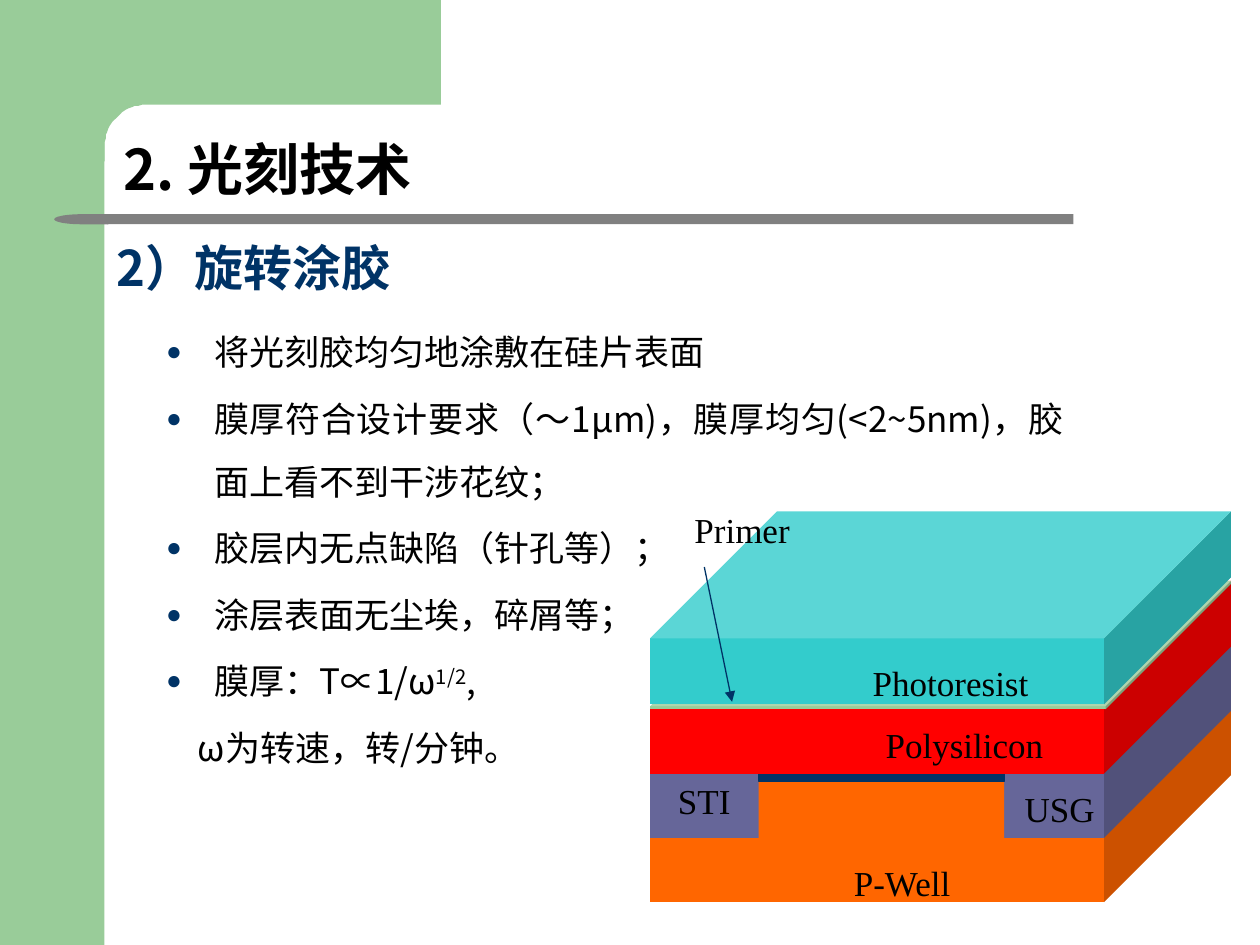
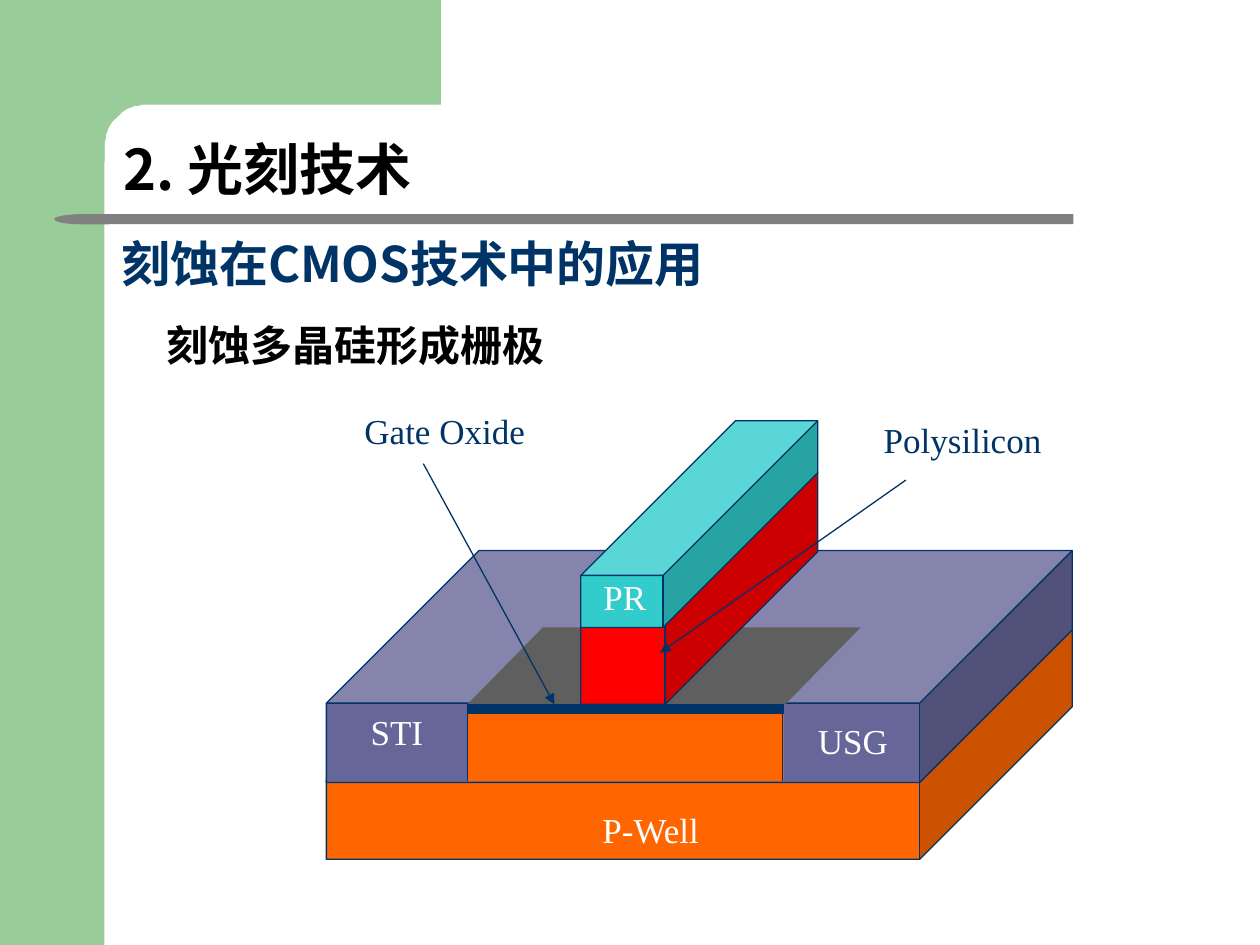
from math import sin, cos, radians
from lxml.etree import SubElement as Sub
from pptx import Presentation
from pptx.dml.color import RGBColor as Rgb
from pptx.enum.shapes import MSO_CONNECTOR as Con, MSO_SHAPE as Form
from pptx.enum.text import MSO_ANCHOR as Anchor, PP_ALIGN as Align
from pptx.oxml.ns import qn
from pptx.util import Inches, Pt

COLS, ROWS = 1000, 750
WIDE, HIGH = Inches(10), Inches(7.5)
CELL = WIDE // COLS

THEME = dict(
    green="99CC99", gray="808080", navy="003366", black="000000", white="FFFFFF",
    well="FF6600", glass="666699", poly="FF0000", resist="33CCCC",
    dark="333333", dim="5F5F5F",
    sans="Noto Sans CJK SC", serif="Times New Roman",
    title=32, head=28, sub=24, text=20, line=0.75)

TITLE = "2. 光刻技术"
EDGE = 83
SLOPE = 0.658

COAT = dict(
    head="2）旋转涂胶",
    points=[
        ["将光刻胶均匀地涂敷在硅片表面"],
        ["膜厚符合设计要求（～1μm)，膜厚均匀(<2~5nm)，胶面上看不到干涉花纹；"],
        ["胶层内无点缺陷（针孔等）；"],
        ["涂层表面无尘埃，碎屑等；"],
        ["膜厚：T∝1/ω", ("1/2", 30), ","]],
    note="ω为转速，转/分钟。",
    base=dict(x=516, y=563, w=461, h=153, step=51, gap=86, run=195, film=6, top="dark"),
    cubes=[("poly", 516, 461, 461, 153, SLOPE),
           ("green", 516, 461, 461, 102, 0.975),
           ("resist", 516, 406, 461, 153, SLOPE)],
    labels=[("P-Well", 651, 679, 130), ("USG", 803, 620, 76), ("STI", 521, 614, 76),
            ("Polysilicon", 657, 569, 217), ("Photoresist", 646, 520, 217),
            ("Primer", 532, 399, 114)],
    arrows=[(559, 450, 581, 557)])

ETCH = dict(
    head="刻蚀在CMOS技术中的应用",
    sub="刻蚀多晶硅形成栅极",
    base=dict(x=259, y=498, w=592, h=184, step=61, gap=112, run=251, film=7,
              top="dim", line="navy"),
    cubes=[("poly", 461, 375, 188, 184, SLOPE),
           ("resist", 461, 334, 188, 164, 0.748)],
    labels=[("P-Well", 433, 637, 167), ("USG", 628, 566, 98), ("STI", 266, 559, 98),
            ("PR", 461, 452, 70)],
    calls=[("Gate Oxide", 224, 320, 258), ("Polysilicon", 670, 327, 188)],
    arrows=[(336, 368, 440, 559), (719, 381, 524, 518)],
    walls=[371, 621])


def grid(*cells):
    return [round(c * CELL) for c in cells]


def tint(name):
    return Rgb.from_string(THEME[name])


def paint(shape, fill=None, line=None):
    shape.shadow.inherit = False
    if fill:
        shape.fill.solid()
        shape.fill.fore_color.rgb = tint(fill)
    else:
        shape.fill.background()
    if line:
        shape.line.color.rgb = tint(line)
        shape.line.width = Pt(THEME["line"])
    else:
        shape.line.fill.background()
    return shape


def draw(slide, form, x, y, w, h, fill=None, line=None, adj=None):
    shape = slide.shapes.add_shape(form, *grid(x, y, w, h))
    if adj is not None:
        shape.adjustments[0] = adj
    return paint(shape, fill, line)


def link(slide, ends, arrow=False):
    wire = slide.shapes.add_connector(Con.STRAIGHT, *grid(*ends))
    wire.line.color.rgb = tint("navy")
    wire.line.width = Pt(THEME["line"])
    if arrow:
        Sub(wire.line._get_or_add_ln(), qn("a:tailEnd"), type="triangle")
    Sub(wire._element.spPr, qn("a:effectLst"))


def write(para, parts, size="text", face="sans", color="black", bold=False,
          align=Align.LEFT, lead=None, before=0, left=0, hang=0, dot=False):
    para.alignment = align
    para.space_before = Pt(before)
    if lead:
        para.line_spacing = lead
    props = para._p.get_or_add_pPr()
    props.set("marL", str(grid(left)[0]))
    props.set("indent", str(grid(-hang)[0]))
    if dot:
        hue = Sub(props, qn("a:buClr"))
        Sub(hue, qn("a:srgbClr"), val=THEME["navy"])
        Sub(props, qn("a:buSzPct"), val="75000")
        Sub(props, qn("a:buFont"), typeface=THEME["serif"])
        Sub(props, qn("a:buChar"), char="●")
    else:
        Sub(props, qn("a:buNone"))
    for part in parts:
        words, lift = part if isinstance(part, tuple) else (part, 0)
        run = para.add_run()
        run.text = words
        run.font.size = Pt(THEME[size])
        run.font.bold = bold
        run.font.color.rgb = tint(color)
        run.font.name = THEME[face]
        marks = run._r.get_or_add_rPr()
        Sub(marks, qn("a:ea"), typeface=THEME[face])
        if lift:
            marks.set("baseline", str(lift * 1000))


def box(slide, x, y, w, h):
    frame = slide.shapes.add_textbox(*grid(x, y, w, h)).text_frame
    frame.word_wrap = True
    return frame


def label(slide, words, x, y, w, color):
    write(box(slide, x, y, w, 40).paragraphs[0], [words], face="serif",
          color=color, align=Align.CENTER)


def banner(slide, words, y, w, h, form=Form.ROUNDED_RECTANGLE, **style):
    adj = 0.217 if form == Form.ROUNDED_RECTANGLE else None
    frame = draw(slide, form, EDGE, y, w, h, adj=adj).text_frame
    frame.word_wrap = True
    frame.vertical_anchor = Anchor.BOTTOM
    write(frame.paragraphs[0], [words], bold=True, lead=0.9, **style)


def frame_up(deck):
    slide = deck.slides.add_slide(deck.slide_layouts[6])
    draw(slide, Form.RECTANGLE, 0, 0, EDGE, ROWS, "green")
    turn = 33
    mid = EDGE + turn
    curve = [(mid - turn * sin(radians(a)), mid - turn * cos(radians(a)))
             for a in range(0, 91, 5)]
    pen = slide.shapes.build_freeform(350, 0, scale=CELL)
    pen.add_line_segments([(350, EDGE), *curve, (EDGE, 128), (50, 128), (50, 0)])
    paint(pen.convert_to_shape(), "green")
    draw(slide, Form.RECTANGLE, 85, 170, 767, 8, "gray")
    draw(slide, Form.FLOWCHART_DELAY, 43, 170, 43, 8, "gray").rotation = 180
    banner(slide, TITLE, 84, 354, 87, size="title")
    return slide


def stack(slide, cubes, line=None):
    for fill, x, y, w, h, adj in cubes:
        draw(slide, Form.CUBE, x, y, w, h, fill, line, adj)


def wafer(slide, x, y, w, h, step, gap, run, film, top, line=None):
    stack(slide, [("well", x, y, w, h, SLOPE),
                  ("glass", x, y - step, w, h, SLOPE)], line)
    left, front = x + gap, y + step
    draw(slide, Form.RECTANGLE, left, front, run, step, "well")
    draw(slide, Form.PARALLELOGRAM, left, y, run + step, step, top, adj=0.98)
    draw(slide, Form.RECTANGLE, left, front, run, film, "navy", "navy")


def device(slide, data, color):
    line = data["base"].get("line")
    wafer(slide, **data["base"])
    stack(slide, data["cubes"], line)
    for spot in data["labels"]:
        label(slide, *spot, color)
    for spot in data.get("calls", []):
        label(slide, *spot, "navy")
    for ends in data["arrows"]:
        link(slide, ends, arrow=True)
    for x in data.get("walls", []):
        link(slide, (x, 566, x, 620))


def coat(deck):
    slide = frame_up(deck)
    frame = box(slide, 122, 241, 732, 467)
    style = dict(align=Align.JUSTIFY, lead=1.5)
    for i, parts in enumerate(COAT["points"]):
        para = frame.add_paragraph() if i else frame.paragraphs[0]
        write(para, parts, before=2 if i else 0, left=38, hang=38, dot=True, **style)
    write(frame.add_paragraph(), [COAT["note"]], before=2, left=25, **style)
    banner(slide, COAT["head"], 186, 362, 55, Form.RECTANGLE, size="head", color="navy")
    device(slide, COAT, "black")


def etch(deck):
    slide = frame_up(deck)
    device(slide, ETCH, "white")
    write(box(slide, 122, 249, 488, 71).paragraphs[0], [ETCH["sub"]],
          size="sub", bold=True)
    banner(slide, ETCH["head"], 186, 575, 55, size="head", color="navy")


def main():
    deck = Presentation()
    deck.slide_width, deck.slide_height = WIDE, HIGH
    coat(deck)
    etch(deck)
    deck.save("out.pptx")


if __name__ == "__main__":
    main()
